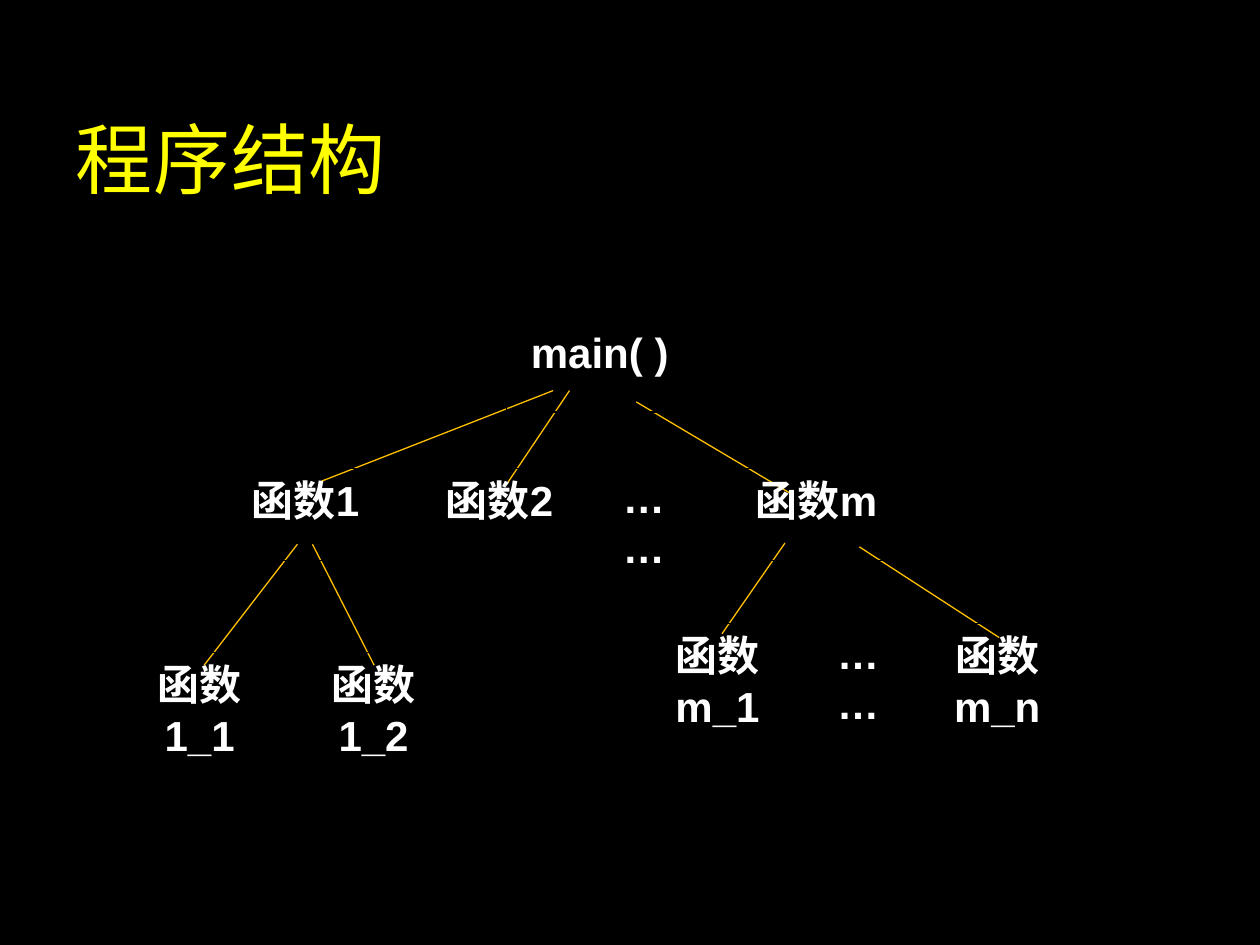
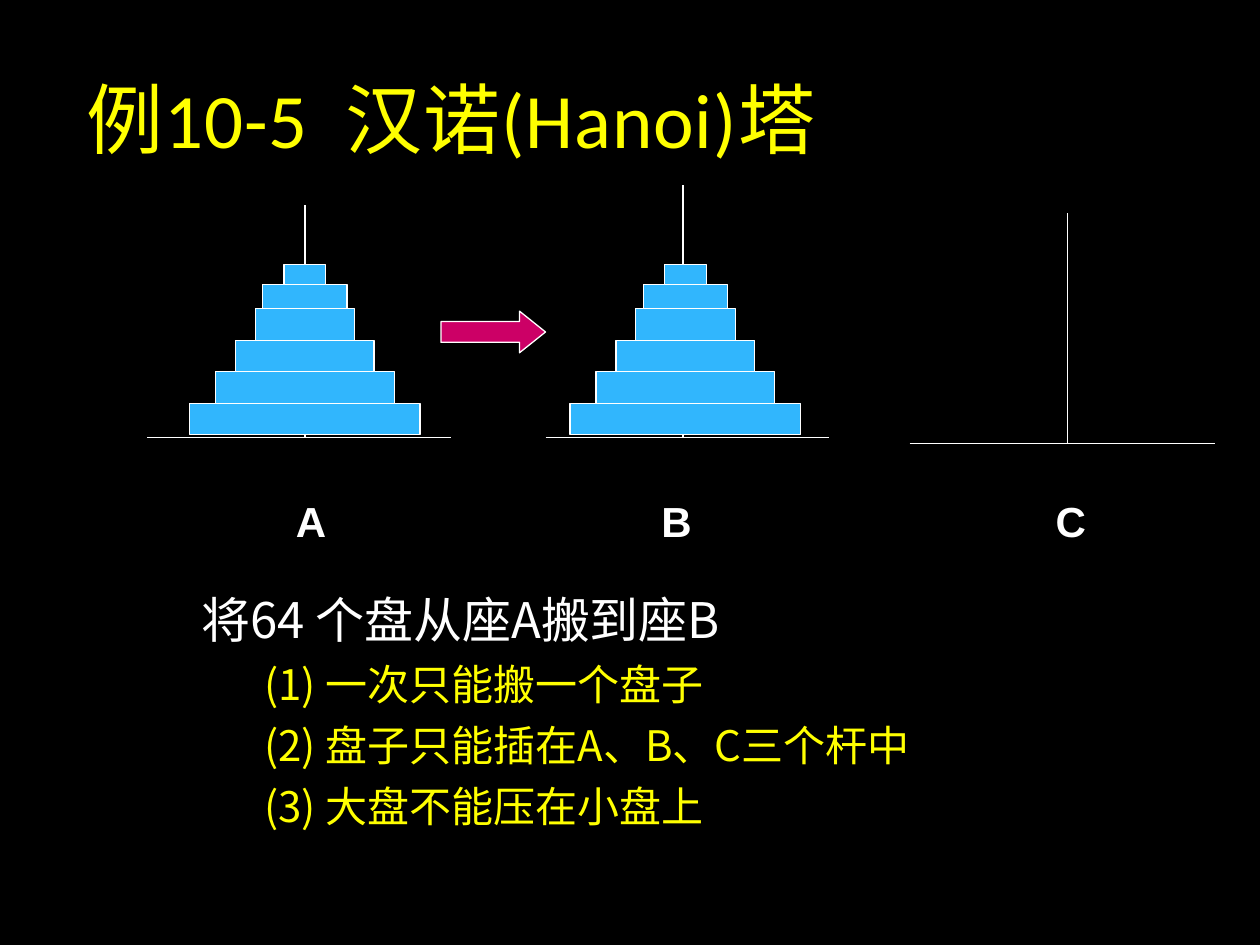
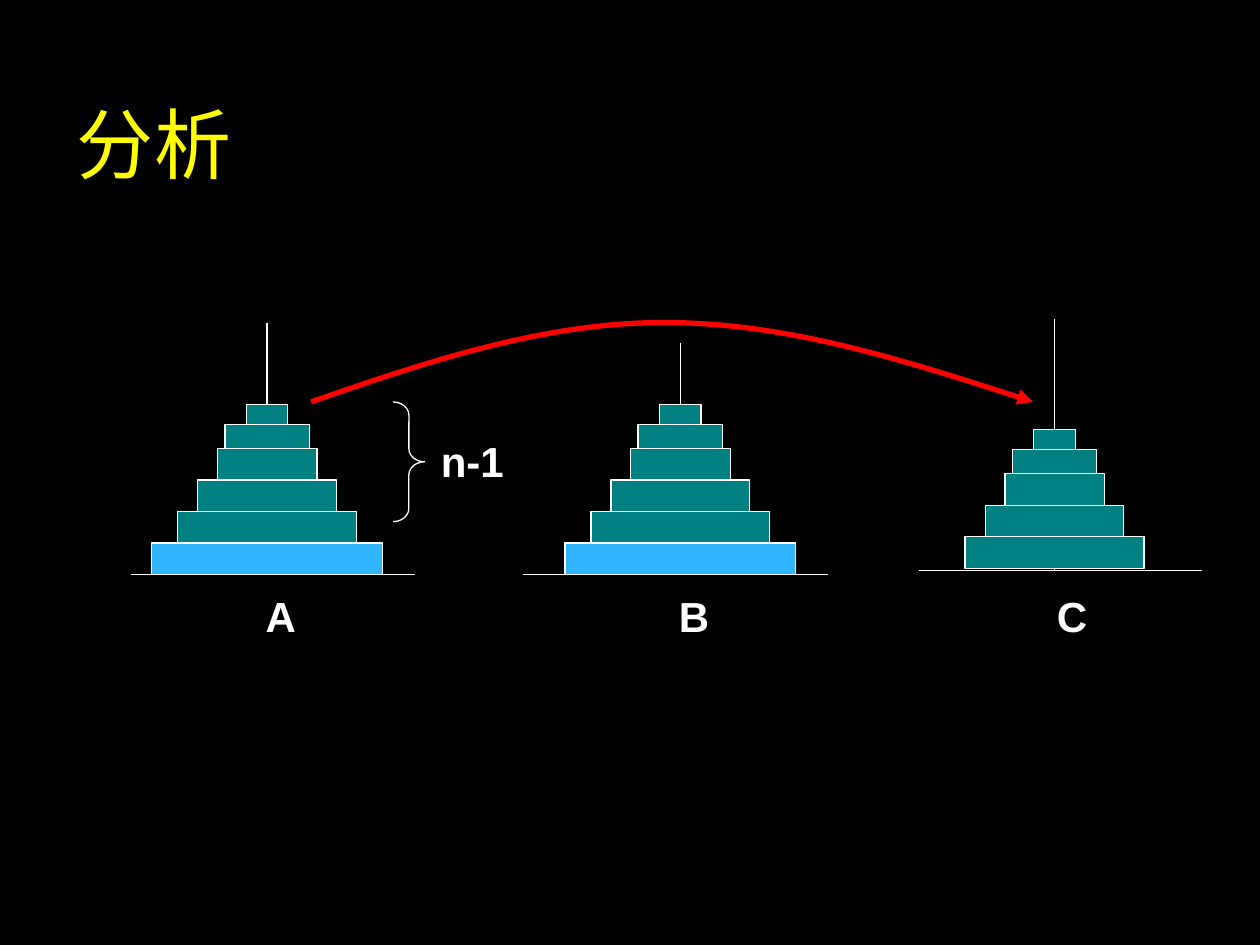
from dataclasses import dataclass
from typing import NamedTuple

from lxml.etree import SubElement
from pptx import Presentation
from pptx.dml.color import RGBColor
from pptx.enum.shapes import MSO_CONNECTOR as Link, MSO_SHAPE as Preset
from pptx.enum.text import MSO_ANCHOR as Anchor, PP_ALIGN as Align
from pptx.oxml.ns import qn
from pptx.util import Emu, Inches, Pt

# Theme
BLACK = RGBColor(0x00, 0x00, 0x00)
WHITE = RGBColor(0xFF, 0xFF, 0xFF)
YELLOW = RGBColor(0xFF, 0xFF, 0x00)
AMBER = RGBColor(0xFF, 0xC0, 0x00)
BLUE = RGBColor(0x31, 0xB6, 0xFD)
TEAL = RGBColor(0x00, 0x80, 0x80)
PINK = RGBColor(0xCC, 0x00, 0x66)
RED = RGBColor(0xFF, 0x00, 0x00)
CJK_FONT = "Noto Sans CJK SC"
THIN = 0.75

# Grid: 100 columns by 75 rows of equal square cells
COLUMNS, ROWS = 100, 75
CELL = Inches(0.1)
INSET = 1


class Area(NamedTuple):
    left: float
    top: float
    width: float
    height: float


class Edge(NamedTuple):
    x1: float
    y1: float
    x2: float
    y2: float


class Style(NamedTuple):
    size: float
    color: RGBColor
    font: str
    bold: bool = False
    spacing: int = 0


class Disk(NamedTuple):
    width: float
    height: float
    color: RGBColor


@dataclass(frozen=True)
class Node:
    text: str
    left: float
    top: float
    width: float


@dataclass(frozen=True)
class Tower:
    base_left: float
    base_right: float
    base: float
    peg: float
    peg_top: float
    center: float = 0
    floor: float = 0
    disks: tuple[Disk, ...] = ()


TITLE = Style(44, YELLOW, "Calibri", spacing=50)
LABEL = Style(24, WHITE, "Arial", bold=True)
TASK = Style(28, WHITE, CJK_FONT)
RULE = Style(24, YELLOW, CJK_FONT)


def cells(count: float) -> Emu:
    return Emu(round(count * CELL))


# Drawing helpers
def add_span(para, text: str, style: Style) -> None:
    span = para.add_run()
    span.text = text
    font = span.font
    font.size, font.bold, font.name = Pt(style.size), style.bold, style.font
    font.color.rgb = style.color
    props = font._element
    if style.spacing:
        props.set("spc", str(style.spacing))
    SubElement(props, qn("a:ea")).set("typeface", CJK_FONT)


def add_text(page, area: Area, text: str, style: Style, anchor=Anchor.TOP):
    box = page.shapes.add_textbox(*map(cells, area))
    box.text_frame.word_wrap = True
    box.text_frame.vertical_anchor = anchor
    para = box.text_frame.paragraphs[0]
    add_span(para, text, style)
    return para


def add_title(page, area: Area, text: str) -> None:
    add_text(page, area, text, TITLE, Anchor.MIDDLE)


def add_line(page, edge: Edge, color: RGBColor) -> None:
    line = page.shapes.add_connector(Link.STRAIGHT, *map(cells, edge))
    line.line.color.rgb = color
    line.line.width = Pt(THIN)
    SubElement(line._element.spPr, qn("a:effectLst"))


def paint(shape, fill: RGBColor | None, color: RGBColor, width: float = THIN) -> None:
    shape.shadow.inherit = False
    if fill is None:
        shape.fill.background()
    else:
        shape.fill.solid()
        shape.fill.fore_color.rgb = fill
    shape.line.color.rgb = color
    shape.line.width = Pt(width)


def add_preset(page, preset, area: Area, fill: RGBColor | None, color: RGBColor = WHITE,
               adjust: tuple[float, ...] = ()):
    shape = page.shapes.add_shape(preset, *map(cells, area))
    paint(shape, fill, color)
    for index, value in enumerate(adjust):
        shape.adjustments[index] = value
    return shape


def add_node(page, node: Node) -> None:
    area = Area(node.left, node.top, node.width, 7.3)
    frame = add_preset(page, Preset.RECTANGLE, area, None, BLACK).text_frame
    frame.word_wrap = True
    frame.vertical_anchor = Anchor.TOP
    para = frame.paragraphs[0]
    para.alignment = Align.CENTER
    add_span(para, node.text, LABEL)


def add_tower(page, tower: Tower) -> None:
    add_line(page, Edge(tower.base_left, tower.base, tower.base_right, tower.base), WHITE)
    add_line(page, Edge(tower.peg, tower.base, tower.peg, tower.peg_top), WHITE)
    top = tower.floor
    for disk in tower.disks:
        top -= disk.height
        area = Area(tower.center - disk.width / 2, top, disk.width, disk.height)
        add_preset(page, Preset.RECTANGLE, area, disk.color)


def add_peg_labels(page, area: Area, centers: tuple[float, ...]) -> None:
    para = add_text(page, area, "\tA\tB\tC", LABEL)
    stops = SubElement(para._p.get_or_add_pPr(), qn("a:tabLst"))
    for center in centers:
        stop = SubElement(stops, qn("a:tab"))
        stop.set("pos", str(cells(center - area.left - INSET)))
        stop.set("algn", "ctr")


def add_curved_arrow(page, points: list[tuple[float, float]]) -> None:
    """Draw Bezier segments: a start point, then three points for each."""
    start, *rest = [(cells(x), cells(y)) for x, y in points]
    builder = page.shapes.build_freeform(*start)
    builder.add_line_segments(rest, close=False)
    curve = builder.convert_to_shape()
    paint(curve, None, RED, 3)
    steps = list(curve._element.iter(qn("a:lnTo")))
    for first in range(0, len(steps), 3):
        bezier = SubElement(steps[first].getparent(), qn("a:cubicBezTo"))
        for step in steps[first:first + 3]:
            bezier.append(step[0])
            step.getparent().remove(step)
    SubElement(curve.line._get_or_add_ln(), qn("a:tailEnd")).set("type", "triangle")


# Slide 1: call tree
EDGES = (
    Edge(43.9, 31, 25.5, 38.2), Edge(45.2, 31, 40.3, 38.3), Edge(50.5, 31.9, 62.8, 39.2),
    Edge(23.6, 43.2, 16.2, 52.8), Edge(24.8, 43.2, 29.7, 52.8),
    Edge(62.3, 43.1, 57.3, 50.3), Edge(68.2, 43.4, 79.3, 50.6),
)
NODES = (
    Node("main( )", 40.2, 25.4, 14.8),
    Node("函数1", 18.1, 37.2, 12.3),
    Node("函数2", 34.1, 37.2, 11.1),
    Node("……", 46.8, 36.9, 8.6),
    Node("函数m", 57.4, 37.2, 14.8),
    Node("函数1_1", 9.7, 51.8, 12.3),
    Node("函数1_2", 23.5, 51.8, 12.3),
    Node("函数m_1", 50.8, 49.5, 12.3),
    Node("函数m_n", 73, 49.5, 12.3),
    Node("……", 63.8, 49.3, 8.6),
)


def build_structure(page) -> None:
    add_title(page, Area(5, 5, 35.6, 15), "程序结构")
    for edge in EDGES:
        add_line(page, edge, AMBER)
    for node in NODES:
        add_node(page, node)


# Slides 2 and 3: towers, disks from the bottom up
DISK_SIZES = ((18.3, 2.5), (14.2, 2.5), (11, 2.5), (7.9, 2.5), (6.7, 1.9), (3.3, 1.6))
BLUE_STACK = tuple(Disk(*size, BLUE) for size in DISK_SIZES)
TEAL_STACK = tuple(Disk(*size, TEAL) for size in DISK_SIZES[1:])
MIXED_STACK = BLUE_STACK[:1] + TEAL_STACK

PUZZLE_TOWERS = (
    Tower(43.3, 65.8, 34.7, 54.2, 14.7, 54.4, 34.5, BLUE_STACK),
    Tower(72.2, 96.4, 35.2, 84.7, 16.9),
    Tower(11.7, 35.8, 34.7, 24.2, 16.3, 24.2, 34.5, BLUE_STACK),
)
ANALYSIS_TOWERS = (
    Tower(10.4, 32.9, 45.6, 21.2, 25.6, 21.2, 45.6, MIXED_STACK),
    Tower(41.5, 65.7, 45.6, 54, 27.2, 54, 45.6, MIXED_STACK),
    Tower(72.9, 95.4, 45.3, 83.7, 25.3, 83.7, 45.1, TEAL_STACK),
)
RULES = ("(1) 一次只能搬一个盘子", "(2) 盘子只能插在A、B、C三个杆中", "(3) 大盘不能压在小盘上")


def set_indent(para, margin: float, hanging: float) -> None:
    props = para._p.get_or_add_pPr()
    props.set("marL", str(cells(margin)))
    props.set("indent", str(-cells(hanging)))


def build_puzzle(page) -> None:
    add_title(page, Area(5.9, 5.2, 85, 8.3), "例10-5  汉诺(Hanoi)塔")
    task = add_text(page, Area(15, 46.3, 65, 25.8), "将64 个盘从座A搬到座B", TASK)
    set_indent(task, 3.8, 3.8)
    frame = task._parent
    for text in RULES:
        para = frame.add_paragraph()
        para.level = 1
        para.space_before = Pt(6)
        set_indent(para, 8.1, 3.1)
        add_span(para, text, RULE)
    for tower in PUZZLE_TOWERS:
        add_tower(page, tower)
    add_peg_labels(page, Area(14.2, 38.8, 75.8, 5), (24.7, 53.7, 85))
    add_preset(page, Preset.RIGHT_ARROW, Area(35, 24.7, 8.3, 3.3), PINK, adjust=(0.5, 0.625))


def build_analysis(page) -> None:
    add_title(page, Area(5.1, 6, 19.3, 10.6), "分析")
    for tower in ANALYSIS_TOWERS:
        add_tower(page, tower)
    add_peg_labels(page, Area(14.6, 46.4, 75.8, 5), (22.3, 55.1, 85.1))
    add_preset(page, Preset.RIGHT_BRACE, Area(31.2, 31.9, 2.5, 9.5), None, adjust=(0.417, 0.5))
    add_text(page, Area(34, 34.1, 7.5, 5), "n-1", LABEL)
    add_curved_arrow(page, [
        (24.7, 31.9), (33.9, 28.7), (43.2, 25.6), (52.7, 25.6),
        (62.3, 25.6), (72.1, 28.7), (82, 31.9),
    ])


def main() -> None:
    deck = Presentation()
    deck.slide_width, deck.slide_height = cells(COLUMNS), cells(ROWS)
    backdrop = deck.slide_master.background.fill
    backdrop.solid()
    backdrop.fore_color.rgb = BLACK
    for build in (build_structure, build_puzzle, build_analysis):
        build(deck.slides.add_slide(deck.slide_layouts[6]))
    deck.save("out.pptx")


if __name__ == "__main__":
    main()
